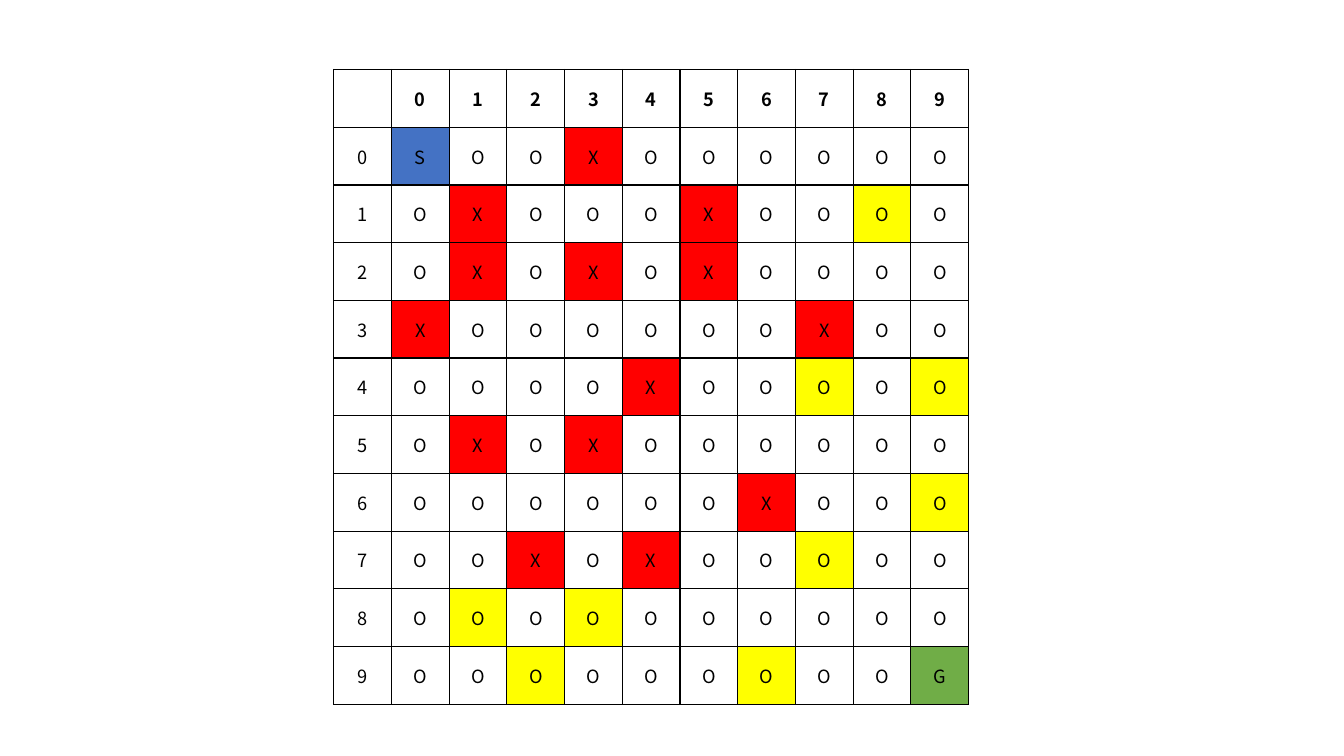
import lxml.etree
import pptx
import pptx.dml.color
import pptx.enum.text
import pptx.oxml.ns
import pptx.util

Inches = pptx.util.Inches
COLORS = {
    "ink": "000000",
    "start": "4472C4",
    "wall": "FF0000",
    "marked": "FFFF00",
    "goal": "70AD47",
}
FILLS = {"S": "start", "X": "wall", "o": "marked", "G": "goal"}
FONT = "Noto Sans CJK KR"

# Maze map: a lowercase o is a marked open cell
MAZE = [
    "SOOXOOOOOO",
    "OXOOOXOOoO",
    "OXOXOXOOOO",
    "XOOOOOOXOO",
    "OOOOXOOoOo",
    "OXOXOOOOOO",
    "OOOOOOXOOo",
    "OOXOXOOoOO",
    "OoOoOOOOOO",
    "OOoOOOoOOG",
]


def rgb(name):
    return pptx.dml.color.RGBColor.from_string(COLORS[name])


def add_borders(cell):
    properties = cell._tc.get_or_add_tcPr()
    for side in ("lnL", "lnR", "lnT", "lnB"):
        line = lxml.etree.SubElement(properties, pptx.oxml.ns.qn("a:" + side), w=str(pptx.util.Pt(1)))
        solid = lxml.etree.SubElement(line, pptx.oxml.ns.qn("a:solidFill"))
        lxml.etree.SubElement(solid, pptx.oxml.ns.qn("a:srgbClr"), val=COLORS["ink"])


# Slide
deck = pptx.Presentation()
deck.slide_width = Inches(13.33)
deck.slide_height = Inches(7.5)
page = deck.slides.add_slide(deck.slide_layouts[6])

# Header row and row numbers around the maze
grid = [" 0123456789"] + [f"{number}{line}" for number, line in enumerate(MAZE)]
count = len(grid)
frame = page.shapes.add_table(count, count, Inches(3.31), Inches(0.69), Inches(6.3), Inches(6.3))
table = frame.table
table.first_row = False
table.horz_banding = False
for track in [*table.columns]:
    track.width = Inches(6.3 / count)
for track in [*table.rows]:
    track.height = Inches(6.3 / count)

# Cells
for row, line in enumerate(grid):
    for column, mark in enumerate(line):
        cell = table.cell(row, column)
        add_borders(cell)
        if mark in FILLS:
            cell.fill.solid()
            cell.fill.fore_color.rgb = rgb(FILLS[mark])
        else:
            cell.fill.background()
        cell.margin_left = cell.margin_right = Inches(0.07)
        cell.margin_top = cell.margin_bottom = Inches(0.04)
        cell.vertical_anchor = pptx.enum.text.MSO_ANCHOR.MIDDLE
        cell.text_frame.text = mark.strip().upper()
        para = cell.text_frame.paragraphs[0]
        para.alignment = pptx.enum.text.PP_ALIGN.CENTER
        for span in para.runs:
            span.font.name = FONT
            span.font.size = pptx.util.Pt(13)
            span.font.bold = row == 0
            span.font.color.rgb = rgb("ink")

deck.save("out.pptx")
